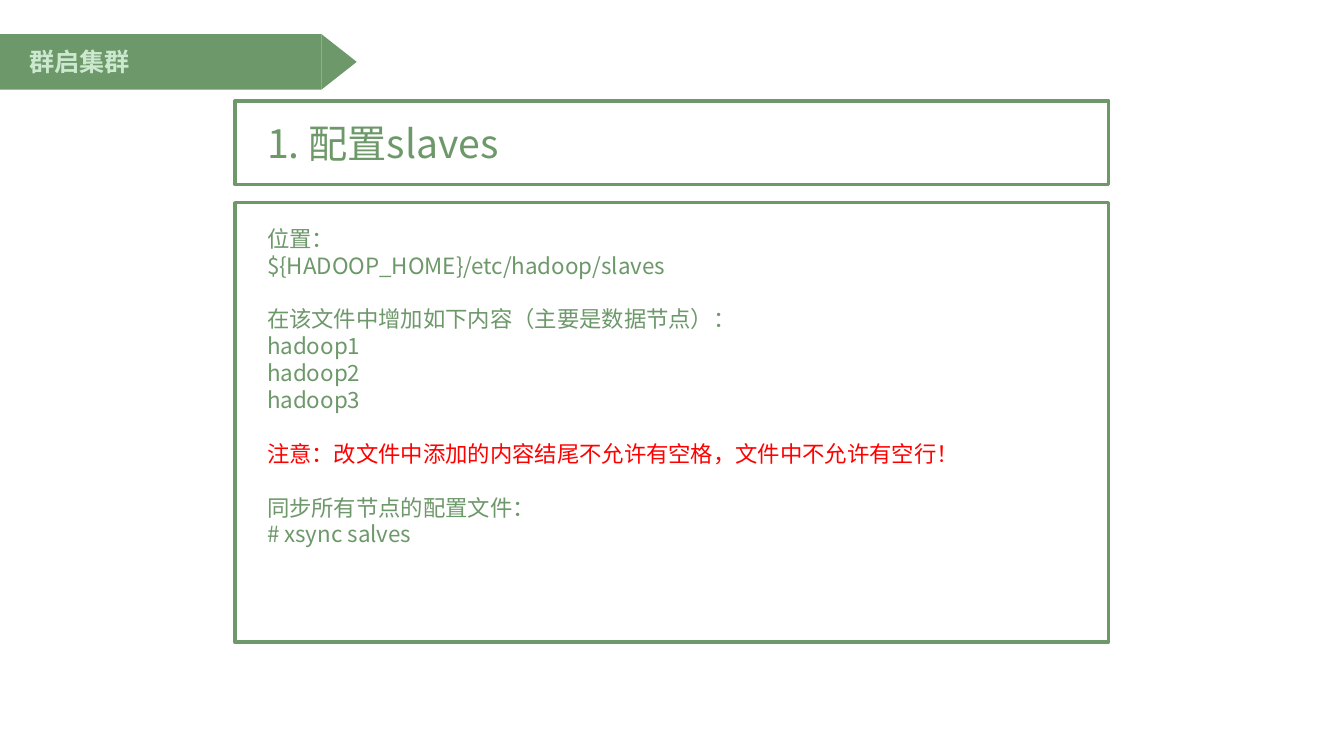
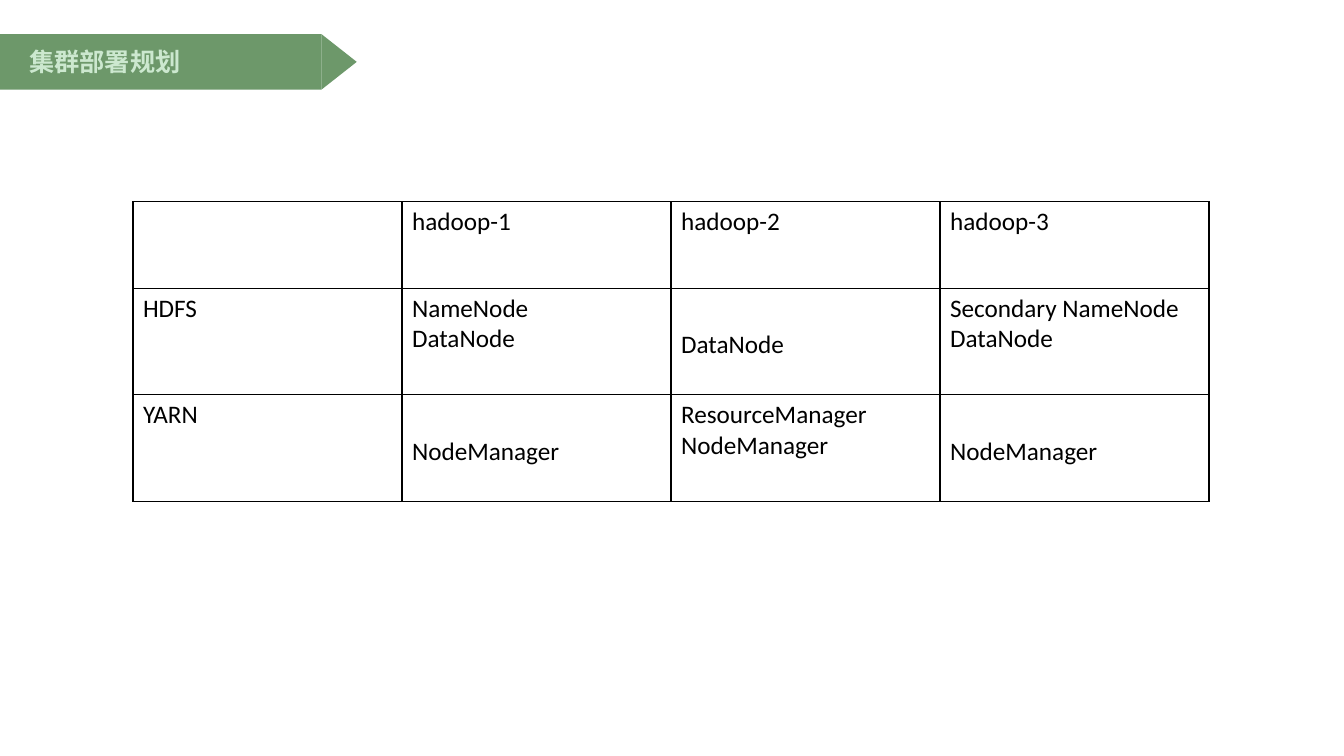
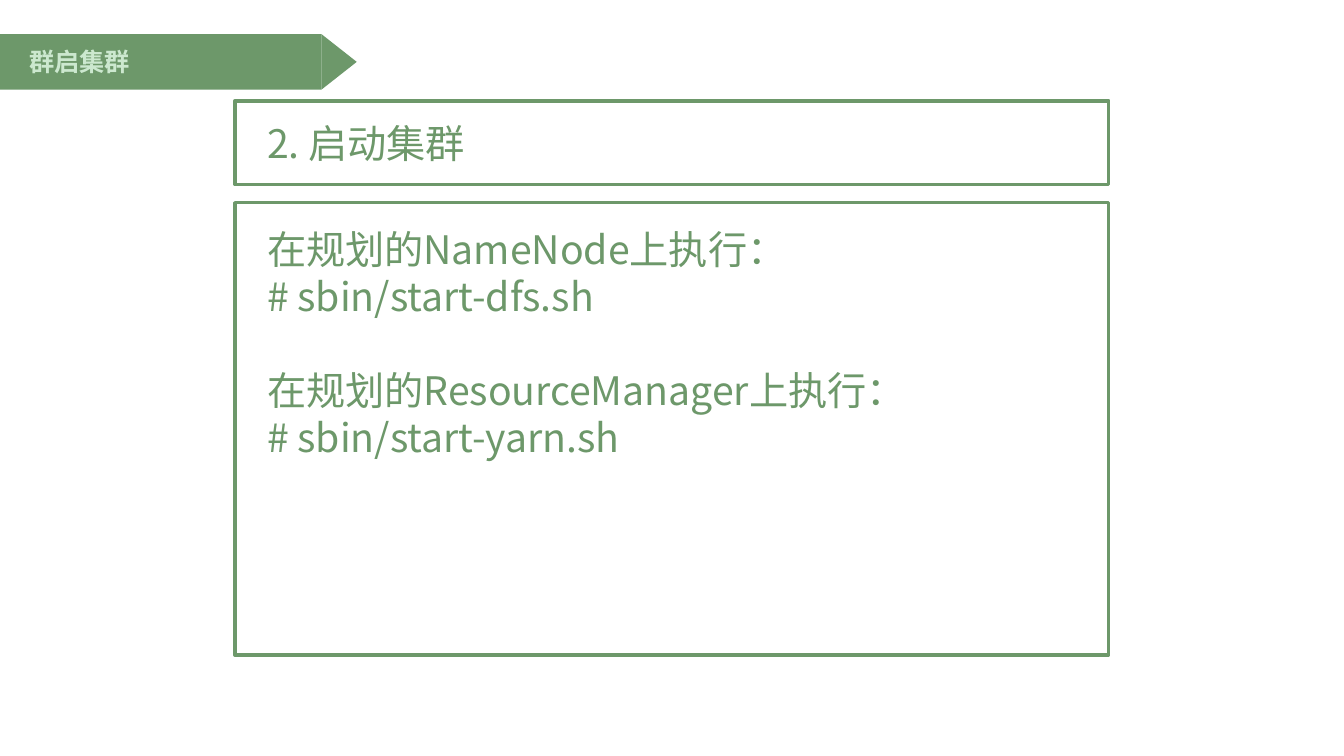
from dataclasses import dataclass
from typing import Any

from lxml import etree
from pptx import Presentation
from pptx import util as u
from pptx.dml import color
from pptx.enum import shapes, text
from pptx.oxml import ns


@dataclass(frozen=True)
class Theme:
    green: str = "6D986A"
    mint: str = "CCE8CF"
    red: str = "FF0000"
    black: str = "000000"
    chinese_font: str = "Noto Sans CJK SC"
    table_font: str = "Calibri"
    title_size: float = 18
    heading_size: float = 28
    detail_size: float = 16
    table_size: float = 18
    line_factor: float = 1.2
    frame_line: float = 2.5
    border_line: float = 1


THEME = Theme()


@dataclass(frozen=True)
class Box:
    left: float
    top: float
    width: float
    height: float

    def lengths(self) -> tuple[u.Length, ...]:
        return tuple(u.Cm(value) for value in (self.left, self.top, self.width, self.height))


@dataclass(frozen=True)
class Line:
    wording: str
    color: str = THEME.green
    gap: bool = False


@dataclass(frozen=True)
class Step:
    title: str
    heading: str
    lines: tuple[Line, ...]
    size: float
    frame_height: float
    body_height: float


@dataclass(frozen=True)
class Cell:
    lines: tuple[str, ...] = ()
    lowered: bool = False


BAND = Box(-0.03, 0.86, 8.13, 1.4)
TIP_LENGTH = 0.89
TITLE = Box(0.61, 1.04, 6.88, 1.02)
HEADING_FRAME = Box(5.92, 2.54, 22.02, 2.11)
HEADING = Box(6.6, 2.87, 17.45, 1.45)
FRAME_TOP = 5.11
BODY_TOP = 5.54
BODY_WIDTH = 20.8
TABLE_LEFT, TABLE_TOP, COLUMN_WIDTH = 3.35, 5.08, 6.78
ROW_HEIGHTS = (2.18, 2.69, 2.69)
LOWERED_MARGIN = 1.04

FRAME_FORMAT = {
    "word_wrap": True,
    "auto_size": text.MSO_AUTO_SIZE.NONE,
    **{f"margin_{side}": u.Cm(0.13) for side in ("left", "top", "right", "bottom")},
}

SLAVES = Step(
    "群启集群",
    "1. 配置slaves",
    (
        Line("位置："),
        Line("${HADOOP_HOME}/etc/hadoop/slaves"),
        Line("在该文件中增加如下内容（主要是数据节点）：", gap=True),
        Line("hadoop1"),
        Line("hadoop2"),
        Line("hadoop3"),
        Line("注意：改文件中添加的内容结尾不允许有空格，文件中不允许有空行！", THEME.red, True),
        Line("同步所有节点的配置文件：", gap=True),
        Line("# xsync salves"),
    ),
    THEME.detail_size,
    11.07,
    8.46,
)
START = Step(
    "群启集群",
    "2. 启动集群",
    (
        Line("在规划的NameNode上执行："),
        Line("# sbin/start-dfs.sh"),
        Line("在规划的ResourceManager上执行：", gap=True),
        Line("# sbin/start-yarn.sh"),
    ),
    THEME.heading_size,
    11.4,
    6.25,
)
PLAN_TITLE = "集群部署规划"
PLAN = (
    (Cell(), Cell(("hadoop-1",)), Cell(("hadoop-2",)), Cell(("hadoop-3",))),
    (
        Cell(("HDFS",)),
        Cell(("NameNode", "DataNode")),
        Cell(("DataNode",), True),
        Cell(("Secondary NameNode", "DataNode")),
    ),
    (
        Cell(("YARN",)),
        Cell(("NodeManager",), True),
        Cell(("ResourceManager", "NodeManager")),
        Cell(("NodeManager",), True),
    ),
)


def apply(target: Any, values: dict[str, Any]) -> None:
    for name, value in values.items():
        setattr(target, name, value)


def place(shape: Any, box: Box) -> None:
    apply(shape, dict(zip(("left", "top", "width", "height"), box.lengths())))


def add_run(paragraph: Any, wording: str, size: float, rgb: str, font: str, bold: bool = False) -> None:
    run = paragraph.add_run()
    run.text = wording
    apply(run.font, {"name": font, "size": u.Pt(size), "bold": bold})
    run.font.color.rgb = color.RGBColor.from_string(rgb)
    east_asian = etree.SubElement(run.font._element, ns.qn("a:ea"))
    east_asian.set("typeface", font)


def write_lines(shape: Any, lines: tuple[Line, ...], size: float, bold: bool = False,
                anchor: text.MSO_ANCHOR = text.MSO_ANCHOR.TOP) -> None:
    frame = shape.text_frame
    apply(frame, {**FRAME_FORMAT, "vertical_anchor": anchor})
    pitch = u.Pt(size * THEME.line_factor)
    for index, line in enumerate(lines):
        paragraph = frame.add_paragraph() if index else frame.paragraphs[0]
        apply(paragraph, {
            "alignment": text.PP_ALIGN.LEFT,
            "line_spacing": pitch,
            "space_before": pitch if line.gap else u.Pt(0),
            "space_after": u.Pt(0),
        })
        properties = paragraph._p.get_or_add_pPr()
        for name in ("marL", "indent"):
            properties.set(name, "0")
        etree.SubElement(properties, ns.qn("a:buNone"))
        add_run(paragraph, line.wording, size, line.color, THEME.chinese_font, bold)


def bring_forward(shape: Any) -> None:
    shape.element.getparent().append(shape.element)


def add_band(slide: Any, title: str) -> None:
    group = slide.shapes.add_group_shape()
    tip = Box(
        BAND.left + BAND.width + (TIP_LENGTH - BAND.height) / 2,
        BAND.top + (BAND.height - TIP_LENGTH) / 2,
        BAND.height,
        TIP_LENGTH,
    )
    parts = (
        (shapes.MSO_SHAPE.RECTANGLE, BAND, 0),
        (shapes.MSO_SHAPE.ISOSCELES_TRIANGLE, tip, 90),
    )
    for kind, box, rotation in parts:
        shape = group.shapes.add_shape(kind, *box.lengths())
        shape.rotation = rotation
        shape.shadow.inherit = False
        shape.fill.solid()
        shape.fill.fore_color.rgb = color.RGBColor.from_string(THEME.green)
        shape.line.fill.background()
    title_shape = slide.shapes.title
    place(title_shape, TITLE)
    write_lines(title_shape, (Line(title, THEME.mint),), THEME.title_size, True, text.MSO_ANCHOR.MIDDLE)
    bring_forward(title_shape)


def add_frame(slide: Any, box: Box) -> None:
    shape = slide.shapes.add_shape(shapes.MSO_SHAPE.RECTANGLE, *box.lengths())
    shape.shadow.inherit = False
    shape.fill.background()
    shape.line.color.rgb = color.RGBColor.from_string(THEME.green)
    shape.line.width = u.Pt(THEME.frame_line)


def add_step_slide(presentation: Any, step: Step) -> None:
    slide = presentation.slides.add_slide(presentation.slide_layouts[1])
    add_band(slide, step.title)
    add_frame(slide, Box(HEADING_FRAME.left, FRAME_TOP, HEADING_FRAME.width, step.frame_height))
    body = slide.placeholders[1]
    place(body, Box(HEADING.left, BODY_TOP, BODY_WIDTH, step.body_height))
    write_lines(body, step.lines, step.size)
    bring_forward(body)
    add_frame(slide, HEADING_FRAME)
    heading = slide.shapes.add_textbox(*HEADING.lengths())
    write_lines(heading, (Line(step.heading),), THEME.heading_size)


def add_borders(cell: Any) -> None:
    properties = cell._tc.get_or_add_tcPr()
    for index, side in enumerate(("lnL", "lnR", "lnT", "lnB")):
        border = etree.Element(ns.qn(f"a:{side}"), w=str(u.Pt(THEME.border_line)))
        fill = etree.SubElement(border, ns.qn("a:solidFill"))
        etree.SubElement(fill, ns.qn("a:srgbClr"), val=THEME.black)
        properties.insert(index, border)


def fill_cell(cell: Any, content: Cell) -> None:
    cell.fill.background()
    add_borders(cell)
    if content.lowered:
        cell.margin_top = u.Cm(LOWERED_MARGIN)
    for index, wording in enumerate(content.lines):
        frame = cell.text_frame
        paragraph = frame.add_paragraph() if index else frame.paragraphs[0]
        add_run(paragraph, wording, THEME.table_size, THEME.black, THEME.table_font)


def add_plan_slide(presentation: Any) -> None:
    slide = presentation.slides.add_slide(presentation.slide_layouts[5])
    add_band(slide, PLAN_TITLE)
    columns = len(PLAN[0])
    box = Box(TABLE_LEFT, TABLE_TOP, COLUMN_WIDTH * columns, sum(ROW_HEIGHTS))
    table = slide.shapes.add_table(len(PLAN), columns, *box.lengths()).table
    apply(table, {"first_row": False, "horz_banding": False})
    for column in table.columns:
        column.width = u.Cm(COLUMN_WIDTH)
    for row, height, contents in zip(table.rows, ROW_HEIGHTS, PLAN):
        row.height = u.Cm(height)
        for cell, content in zip(row.cells, contents):
            fill_cell(cell, content)


def main() -> None:
    presentation = Presentation()
    apply(presentation, {"slide_width": u.Cm(33.87), "slide_height": u.Cm(19.05)})
    add_step_slide(presentation, SLAVES)
    add_plan_slide(presentation)
    add_step_slide(presentation, START)
    presentation.save("out.pptx")


if __name__ == "__main__":
    main()
